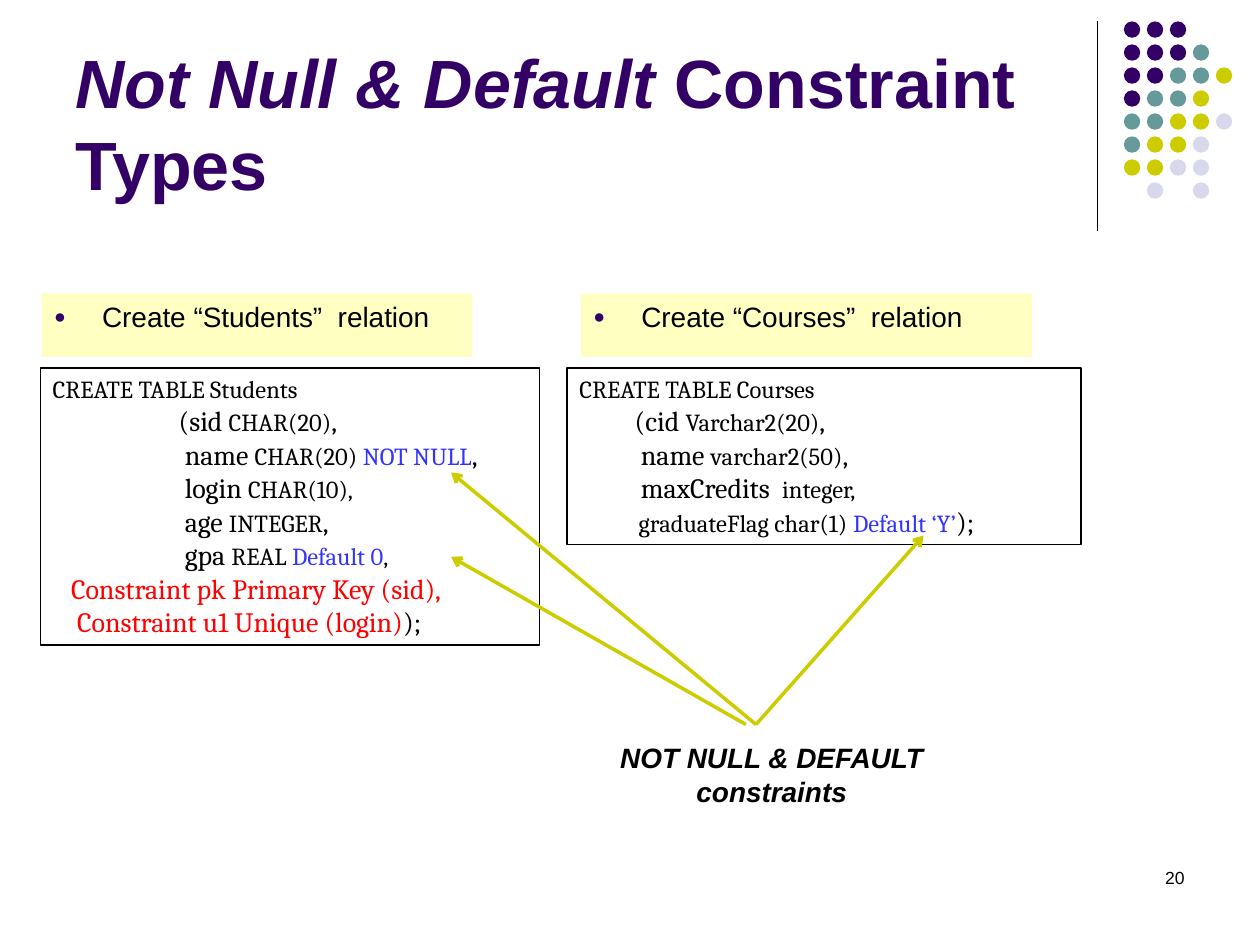
from dataclasses import dataclass
from typing import NamedTuple

from lxml import etree
from pptx import Presentation
from pptx.dml.color import RGBColor
from pptx.enum import shapes, text
from pptx.oxml import ns
from pptx.util import Inches, Pt


@dataclass(frozen=True)
class Theme:
    purple: str = "330066"
    teal: str = "669999"
    olive: str = "CCCC00"
    lavender: str = "D8D8EC"
    cream: str = "FFFFC2"
    black: str = "000000"
    blue: str = "3333FF"
    red: str = "FF0000"
    sans: str = "Arial"
    serif: str = "Cambria"
    title_size: int = 39
    body_size: int = 16
    type_size: int = 14
    number_size: int = 10


THEME = Theme()


class Box(NamedTuple):
    left: float
    top: float
    width: float
    height: float

    def lengths(self):
        return [Inches(value) for value in self]


class Span(NamedTuple):
    text: str
    size: int = THEME.body_size
    color: str = THEME.black


class Point(NamedTuple):
    x: float
    y: float


def small(words: str, color: str = THEME.black) -> Span:
    return Span(words, THEME.type_size, color)


def rgb(color: str) -> RGBColor:
    return RGBColor.from_string(color)


def style(run, size: int, color: str = THEME.black, name: str = THEME.sans,
          bold: bool = False, italic: bool = False) -> None:
    font = run.font
    font.size, font.name, font.bold, font.italic = Pt(size), name, bold, italic
    font.color.rgb = rgb(color)


def add_child(parent, tag: str, **attributes: str):
    return etree.SubElement(parent, ns.qn(tag), **attributes)


def place(shape, box: Box) -> None:
    shape.left, shape.top, shape.width, shape.height = box.lengths()


def prepare_frame(shape, anchor=text.MSO_ANCHOR.TOP):
    frame = shape.text_frame
    frame.word_wrap = True
    frame.auto_size = text.MSO_AUTO_SIZE.NONE
    frame.vertical_anchor = anchor
    return frame


def fill_title(shape) -> None:
    place(shape, Box(0.5, 0.25, 8.25, 1.42))
    paragraph = prepare_frame(shape, text.MSO_ANCHOR.BOTTOM).paragraphs[0]
    paragraph.alignment = text.PP_ALIGN.LEFT
    for words, italic in (("Not Null & Default ", True), ("Constraint Types", False)):
        run = paragraph.add_run()
        run.text = words
        style(run, THEME.title_size, THEME.purple, bold=True, italic=italic)


def fill_heading(shape, box: Box, words: str) -> None:
    place(shape, box)
    shape.fill.solid()
    shape.fill.fore_color.rgb = rgb(THEME.cream)
    frame = prepare_frame(shape)
    frame.text = words
    paragraph = frame.paragraphs[0]
    properties = paragraph._p.get_or_add_pPr()
    properties.set("marL", str(Inches(0.38)))
    properties.set("indent", str(-Inches(0.38)))
    add_child(add_child(properties, "a:buClr"), "a:srgbClr", val=THEME.purple)
    add_child(properties, "a:buSzPct", val="70000")
    add_child(properties, "a:buFont", typeface=THEME.sans)
    add_child(properties, "a:buChar", char="●")
    paragraph.space_before = Pt(0)
    style(paragraph.runs[0], THEME.body_size)


def add_code(slide, box: Box, lines: list[list[Span]]) -> None:
    shape = slide.shapes.add_shape(shapes.MSO_SHAPE.RECTANGLE, *box.lengths())
    shape.shadow.inherit = False
    shape.fill.background()
    shape.line.color.rgb = rgb(THEME.black)
    shape.line.width = Pt(0.75)
    frame = prepare_frame(shape)
    for index, line in enumerate(lines):
        paragraph = frame.add_paragraph() if index else frame.paragraphs[0]
        stops = add_child(paragraph._p.get_or_add_pPr(), "a:tabLst")
        add_child(stops, "a:tab", pos=str(Inches(1)), algn="l")
        paragraph.alignment = text.PP_ALIGN.LEFT
        for span in line:
            run = paragraph.add_run()
            run.text = span.text
            style(run, span.size, span.color, THEME.serif)


def add_label(slide, box: Box, words: str, size: int, alignment, emphasis: bool = False) -> None:
    frame = prepare_frame(slide.shapes.add_textbox(*box.lengths()))
    frame.text = words
    frame.paragraphs[0].alignment = alignment
    style(frame.paragraphs[0].runs[0], size, bold=emphasis, italic=emphasis)


def add_line(slide, start: Point, end: Point, color: str, width: float, arrow: bool = False) -> None:
    connector = slide.shapes.add_connector(
        shapes.MSO_CONNECTOR.STRAIGHT, *(Inches(value) for value in start + end))
    connector.line.color.rgb = rgb(color)
    connector.line.width = Pt(width)
    if arrow:
        add_child(connector.line._get_or_add_ln(), "a:tailEnd", type="arrow")
    add_child(connector._element.spPr, "a:effectLst")


def add_dots(slide) -> None:
    colors = {"P": THEME.purple, "T": THEME.teal, "O": THEME.olive, "L": THEME.lavender}
    rows = ("PPP", "PPPT", "PPTTO", "PTTO", "TTOOL", "TOOL", "OOLL", " L L")
    pitch, size = 0.73 / 4, 0.13
    for row, pattern in enumerate(rows):
        for column, key in enumerate(pattern):
            if key in colors:
                box = Box(8.92 + column * pitch, 0.17 + row * pitch, size, size)
                dot = slide.shapes.add_shape(shapes.MSO_SHAPE.OVAL, *box.lengths())
                dot.shadow.inherit = False
                dot.fill.solid()
                dot.fill.fore_color.rgb = rgb(colors[key])
                dot.line.fill.background()


STUDENTS = [
    [small("CREATE TABLE Students")],
    [Span("\t(sid "), small("CHAR(20)"), Span(",")],
    [Span("\t name "), small("CHAR(20) "), small("NOT NULL", THEME.blue), Span(",")],
    [Span("\t login "), small("CHAR(10),")],
    [Span("\t age "), small("INTEGER"), Span(",")],
    [Span("\t gpa "), small("REAL "), small("Default 0", THEME.blue), small(",")],
    [Span("   Constraint pk Primary Key (sid),", color=THEME.red)],
    [Span("    Constraint u1 Unique (login)", color=THEME.red), Span(");")],
]
COURSES = [
    [small("CREATE TABLE Courses")],
    [Span("         (cid "), small("Varchar2(20)"), Span(",")],
    [Span("          name "), small("varchar2(50)"), Span(",")],
    [Span("          maxCredits  "), small("integer,")],
    [small("           graduateFlag char(1) "), small("Default ‘Y’", THEME.blue), Span(");")],
]


def main() -> None:
    presentation = Presentation()
    presentation.slide_width, presentation.slide_height = Inches(10), Inches(7.5)
    slide = presentation.slides.add_slide(presentation.slide_layouts[3])
    title, students, courses = slide.placeholders

    # Title and corner decoration
    fill_title(title)
    add_line(slide, Point(8.71, 0.17), Point(8.71, 1.83), THEME.black, 0.75)
    add_dots(slide)

    # Headings and table definitions
    fill_heading(students, Box(0.33, 2.33, 3.42, 0.5), "Create “Students”  relation")
    fill_heading(courses, Box(4.61, 2.33, 3.58, 0.5), "Create “Courses”  relation")
    add_code(slide, Box(0.32, 2.92, 3.96, 2.2), STUDENTS)
    add_code(slide, Box(4.5, 2.92, 4.08, 1.4), COURSES)

    # Arrows from the caption to the constraints
    for start, end in ((Point(6, 5.75), Point(7.33, 4.25)),
                       (Point(6, 5.75), Point(3.58, 3.75)),
                       (Point(5.92, 5.75), Point(3.58, 4.42))):
        add_line(slide, start, end, THEME.olive, 2, arrow=True)

    # Caption and slide number
    add_label(slide, Box(4.75, 5.83, 2.75, 0.64), "NOT NULL & DEFAULT constraints",
              THEME.body_size, text.PP_ALIGN.CENTER, emphasis=True)
    add_label(slide, Box(7.17, 6.83, 2.33, 0.5), "20", THEME.number_size, text.PP_ALIGN.RIGHT)
    presentation.save("out.pptx")


if __name__ == "__main__":
    main()
